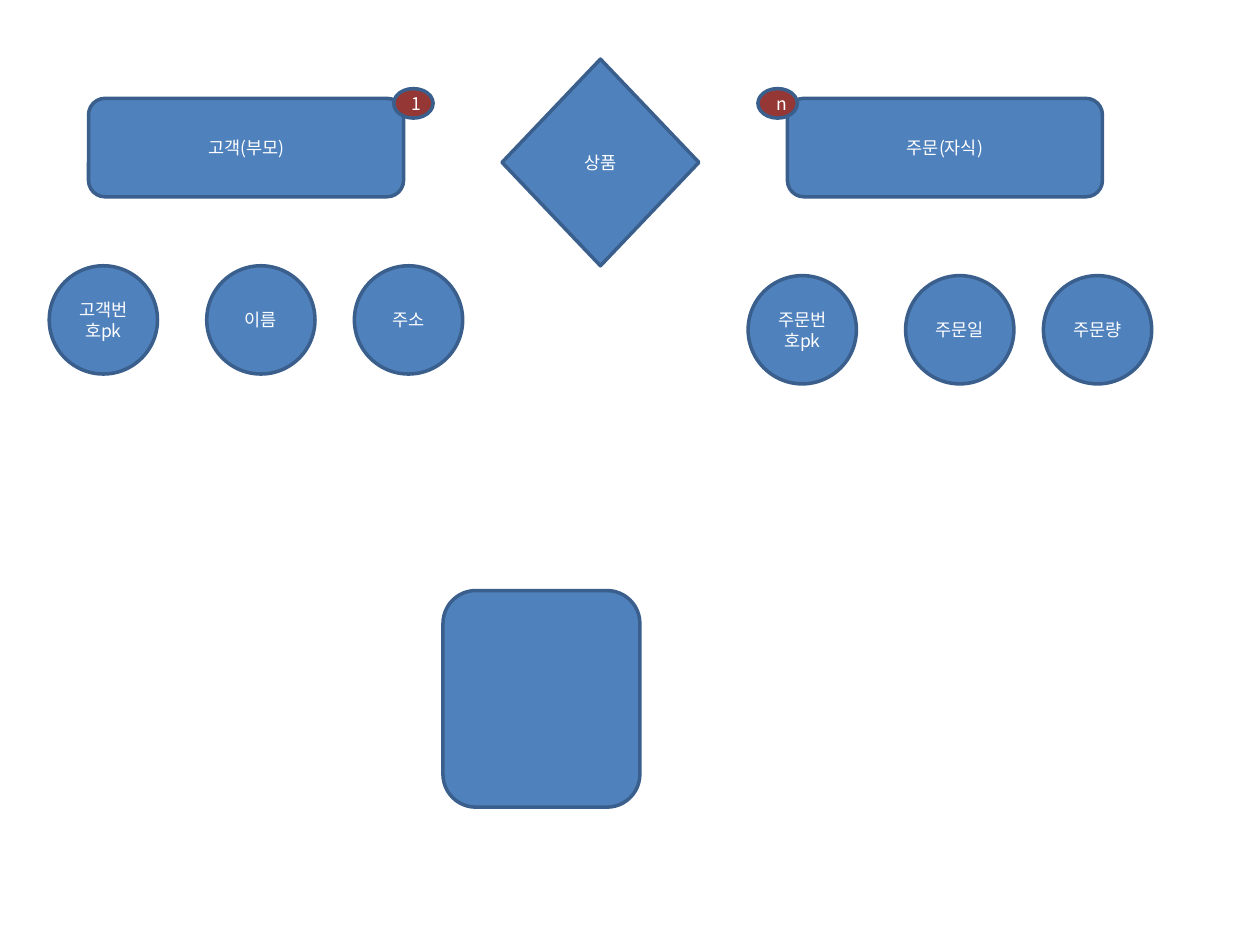
from dataclasses import dataclass

from lxml.etree import SubElement
from pptx import Presentation
from pptx.dml.color import RGBColor
from pptx.enum.shapes import MSO_SHAPE
from pptx.enum.text import MSO_ANCHOR, PP_ALIGN
from pptx.oxml.ns import qn
from pptx.util import Inches, Pt


@dataclass(frozen=True)
class Theme:
    fill: RGBColor = RGBColor.from_string("4F81BD")
    badge: RGBColor = RGBColor.from_string("953735")
    line: RGBColor = RGBColor.from_string("3A5F8C")
    text: RGBColor = RGBColor.from_string("FFFFFF")
    font: str = "Noto Sans CJK KR"
    text_size: Pt = Pt(10)
    line_width: Pt = Pt(2)


class Diagram:
    """Draws entity-relationship symbols on a grid of 128 columns and 96 rows."""

    COLUMNS = 128

    def __init__(self, deck, theme):
        self.page = deck.slides.add_slide(deck.slide_layouts[6])
        self.theme = theme
        self.cell = deck.slide_width / self.COLUMNS

    def symbol(self, kind, column, row, columns, rows, text="", fill=None):
        theme = self.theme
        place = [round(n * self.cell) for n in (column, row, columns, rows)]
        box = self.page.shapes.add_shape(kind, *place)
        box.shadow.inherit = False
        box.fill.solid()
        box.fill.fore_color.rgb = fill or theme.fill
        box.line.color.rgb = theme.line
        box.line.width = theme.line_width
        if text:
            self.label(box.text_frame, text)

    def label(self, frame, text):
        theme = self.theme
        frame.text = text
        frame.word_wrap = True
        frame.vertical_anchor = MSO_ANCHOR.MIDDLE
        para = frame.paragraphs[0]
        para.alignment = PP_ALIGN.CENTER
        span = para.runs[0]
        span.font.size = theme.text_size
        span.font.color.rgb = theme.text
        span.font.name = theme.font
        # Korean glyphs take the East Asian typeface
        east_asian = SubElement(span.font._element, qn("a:ea"))
        east_asian.set("typeface", theme.font)

    def entity(self, column, row, text):
        self.symbol(MSO_SHAPE.ROUNDED_RECTANGLE, column, row, 32, 10, text)

    def attributes(self, row, placed):
        for column, text in placed.items():
            self.symbol(MSO_SHAPE.OVAL, column, row, 11, 11, text)

    def relationship(self, column, row, text):
        self.symbol(MSO_SHAPE.DIAMOND, column, row, 20, 21, text)

    def cardinality(self, column, row, text):
        self.symbol(MSO_SHAPE.OVAL, column, row, 4, 3, text, self.theme.badge)

    def block(self, column, row):
        self.symbol(MSO_SHAPE.ROUNDED_RECTANGLE, column, row, 20, 22)


def main():
    deck = Presentation()
    deck.slide_width, deck.slide_height = Inches(10), Inches(7.5)
    diagram = Diagram(deck, Theme())

    diagram.entity(80, 10, "주문(자식)")
    diagram.entity(9, 10, "고객(부모)")
    diagram.attributes(27, {5: "고객번호pk", 21: "이름", 36: "주소"})
    diagram.attributes(28, {76: "주문번호pk", 92: "주문일", 106: "주문량"})
    diagram.relationship(51, 6, "상품")
    diagram.cardinality(40, 9, "1")
    diagram.cardinality(77, 9, "n")
    diagram.block(45, 60)

    deck.save("out.pptx")


if __name__ == "__main__":
    main()
